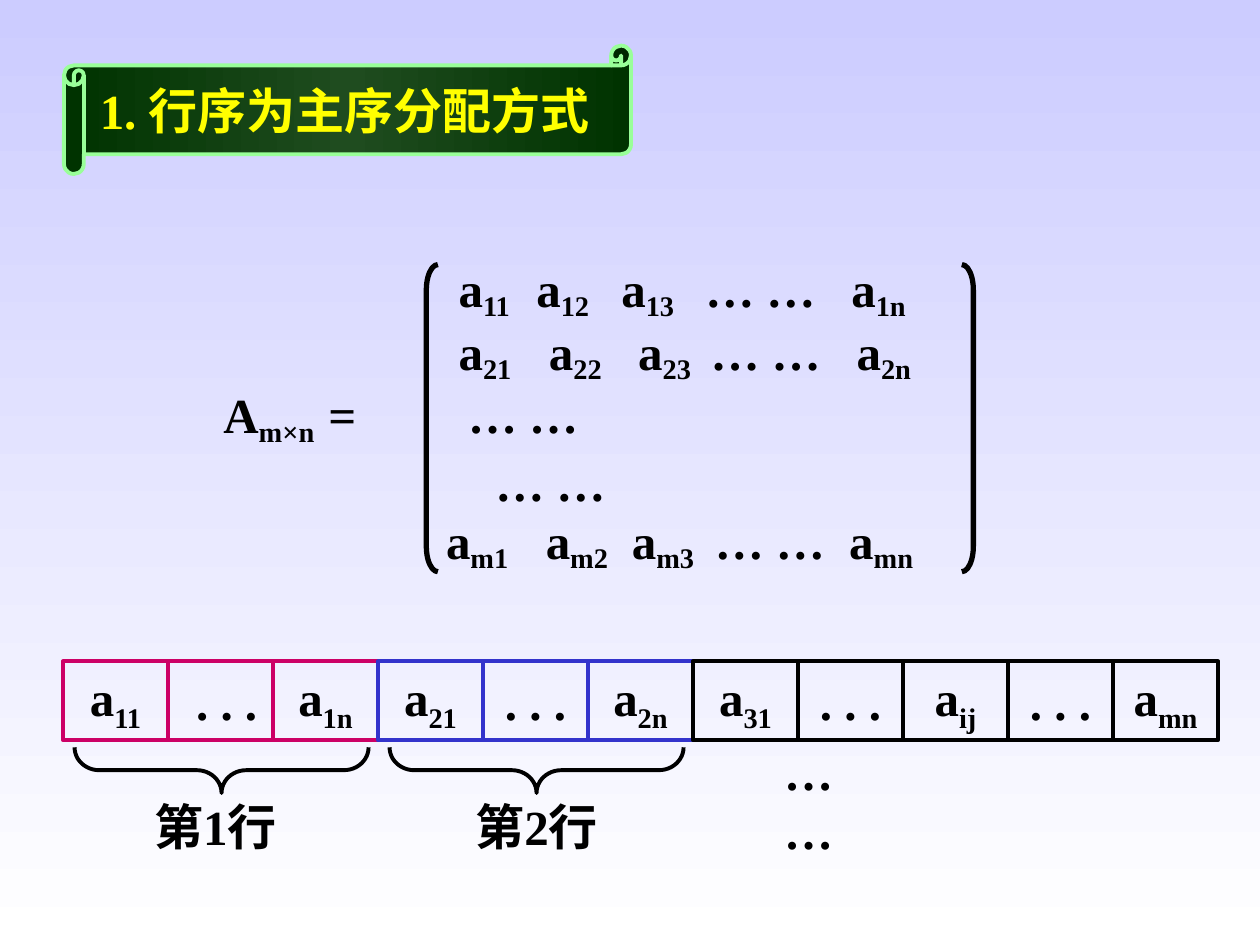
from copy import deepcopy
from dataclasses import dataclass

from lxml import etree
from pptx import Presentation
from pptx.dml.color import RGBColor
from pptx.enum.shapes import MSO_SHAPE
from pptx.enum.text import MSO_ANCHOR, PP_ALIGN
from pptx.oxml.ns import qn
from pptx.util import Inches, Pt

CENTER, LEFT = PP_ALIGN.CENTER, PP_ALIGN.LEFT
MIDDLE, TOP = MSO_ANCHOR.MIDDLE, MSO_ANCHOR.TOP
RECTANGLE, SCROLL = MSO_SHAPE.RECTANGLE, MSO_SHAPE.HORIZONTAL_SCROLL
LEFT_BRACE = MSO_SHAPE.LEFT_BRACE
LEFT_BRACKET, RIGHT_BRACKET = MSO_SHAPE.LEFT_BRACKET, MSO_SHAPE.RIGHT_BRACKET


@dataclass(frozen=True)
class Theme:
    latin: str = "Times New Roman"
    chinese: str = "Noto Sans CJK SC"
    size: float = 28
    row_pitch: float = 36
    line: float = 2.25
    bracket_line: float = 3
    ink: str = "000000"
    title: str = "FFFF00"
    first_row: str = "CC0066"
    second_row: str = "3333CC"
    scroll_edge: str = "99FF99"
    scroll_fill: tuple = ("003300", "1F4C1F", "003300")
    background: tuple = ("CCCCFF", "FFFFFF")


def write_text(paragraph, text, theme, color, subscript=-25):
    """Add text in which each part after an underscore, up to a space or tab, is lowered."""
    pieces = text.replace("\t", "\n\t").split("\n")
    for piece in filter(None, pieces):
        base, _, lowered = piece.partition("_")
        for part, offset in ((base, 0), (lowered, subscript)):
            if not part:
                continue
            run = paragraph.add_run()
            run.text = part
            run.font.size = Pt(theme.size)
            run.font.bold = True
            run.font.name = theme.latin
            run.font.color.rgb = RGBColor.from_string(color)
            properties = run.font._element
            etree.SubElement(properties, qn("a:ea")).set("typeface", theme.chinese)
            if offset:
                properties.set("baseline", str(offset * 1000))


class SlideBuilder:
    COLUMNS = ROWS = 12

    def __init__(self, presentation, theme):
        self.theme = theme
        self.slide = presentation.slides.add_slide(presentation.slide_layouts[6])
        self.column = presentation.slide_width / self.COLUMNS
        self.row = presentation.slide_height / self.ROWS

    def box(self, left, top, width, height):
        return (round(left * self.column), round(top * self.row),
                round(width * self.column), round(height * self.row))

    def gradient(self, fill, owner, colors, angle):
        fill.gradient()
        fill.gradient_angle = angle
        stop_list = owner.find(".//" + qn("a:gsLst"))
        while len(stop_list) < len(colors):
            stop_list.append(deepcopy(stop_list[0]))
        for index, (stop, color) in enumerate(zip(fill.gradient_stops, colors)):
            stop.color.rgb = RGBColor.from_string(color)
            stop.position = index / (len(colors) - 1)

    def background(self):
        background = self.slide.background
        self.gradient(background.fill, self.slide._element, self.theme.background, 270)

    def outline(self, kind, place, color=None, width=None, adjustment=None):
        shape = self.slide.shapes.add_shape(kind, *self.box(*place))
        shape.shadow.inherit = False
        shape.fill.background()
        shape.line.color.rgb = RGBColor.from_string(color or self.theme.ink)
        shape.line.width = Pt(width or self.theme.line)
        if adjustment is not None:
            shape.adjustments[0] = adjustment
        return shape

    def fill_frame(self, frame, text, color=None, align=CENTER, anchor=TOP):
        frame.vertical_anchor = anchor
        paragraph = frame.paragraphs[0]
        paragraph.alignment = align
        write_text(paragraph, text, self.theme, color or self.theme.ink)

    def cell(self, place, text, color):
        shape = self.outline(RECTANGLE, place, color)
        shape.text_frame.word_wrap = False
        self.fill_frame(shape.text_frame, text, anchor=MIDDLE)

    def label(self, place, text):
        frame = self.slide.shapes.add_textbox(*self.box(*place)).text_frame
        frame.word_wrap = False
        self.fill_frame(frame, text)

    def brace_below(self, left, top, width, height):
        shape = self.outline(LEFT_BRACE, (left, top, width, height), adjustment=0.54)
        center_x, center_y = shape.left + shape.width // 2, shape.top + shape.height // 2
        shape.width, shape.height = shape.height, shape.width
        shape.left, shape.top = center_x - shape.width // 2, center_y - shape.height // 2
        shape.rotation = 270

    def title_scroll(self, place, text_place, text):
        shape = self.outline(SCROLL, place, self.theme.scroll_edge, adjustment=0.154)
        self.gradient(shape.fill, shape._element, self.theme.scroll_fill, 0)
        frame = self.slide.shapes.add_textbox(*self.box(*text_place)).text_frame
        frame.word_wrap = True
        frame.margin_left, frame.margin_right = Inches(0.2), 0
        self.fill_frame(frame, text, self.theme.title, LEFT)

    def matrix(self, place, rows):
        """Each row is a list of (column on the slide, entry); entries sit on tab stops."""
        frame = self.slide.shapes.add_textbox(*self.box(*place)).text_frame
        frame.word_wrap = True
        text_left = place[0] * self.column + frame.margin_left
        for index, entries in enumerate(rows):
            paragraph = frame.add_paragraph() if index else frame.paragraphs[0]
            paragraph.line_spacing = Pt(self.theme.row_pitch)
            tabs = etree.SubElement(paragraph._p.get_or_add_pPr(), qn("a:tabLst"))
            for column, _ in entries:
                tab = etree.SubElement(tabs, qn("a:tab"))
                tab.set("pos", str(round(column * self.column - text_left)))
                tab.set("algn", "l")
            text = "".join("\t" + entry for _, entry in entries)
            write_text(paragraph, text, self.theme, self.theme.ink, subscript=-18)


def main():
    presentation = Presentation()
    presentation.slide_width, presentation.slide_height = Inches(10), Inches(7.5)
    theme = Theme()
    builder = SlideBuilder(presentation, theme)
    builder.background()

    # Linear storage, one cell per grid column
    first_column, storage_top = 0.6, 8.4
    storage = [(theme.first_row, ("a_11", " . . .", "a_1n")),
               (theme.second_row, ("a_21", ". . .", "a_2n")),
               (theme.ink, ("a_31", ". . .", "a_ij", ". . .", "a_mn"))]
    cells = [(color, text) for color, texts in storage for text in texts]
    for index, (color, text) in enumerate(cells):
        builder.cell((first_column + index, storage_top, 1, 1), text, color)

    # Braces naming the matrix rows
    for index, (label_left, text) in enumerate([(1.24, "第1行"), (4.3, "第2行")]):
        builder.brace_below(0.71 + 3 * index, 9.49, 2.8, 0.58)
        builder.label((label_left, 10.03, 1.62, 0.91), text)
    builder.label((7.12, 9.34, 1.16, 0.91), "……")

    # Matrix between its brackets
    dots = "… …"
    builder.matrix((1, 3.21, 8.16, 4.18), [
        [(4.37, "a_11"), (5.11, "a_12"), (5.92, "a_13"), (6.72, dots), (8.11, "a_1n")],
        [(4.37, "a_21"), (5.23, "a_22"), (6.08, "a_23"), (6.77, dots), (8.16, "a_2n")],
        [(2.13, "A_m×n"), (3.13, "="), (4.46, dots)],
        [(4.72, dots)],
        [(4.25, "a_m1"), (5.2, "a_m2"), (6.02, "a_m3"), (6.81, dots), (8.09, "a_mn")],
    ])
    for kind, left in ((LEFT_BRACKET, 4.06), (RIGHT_BRACKET, 9.16)):
        builder.outline(kind, (left, 3.36, 0.11, 3.9),
                        width=theme.bracket_line, adjustment=2.2)

    # Title on a scroll
    builder.title_scroll((0.61, 0.58, 5.4, 1.63), (0.71, 0.94, 5.12, 0.91),
                         "1. 行序为主序分配方式")
    presentation.save("out.pptx")


if __name__ == "__main__":
    main()
